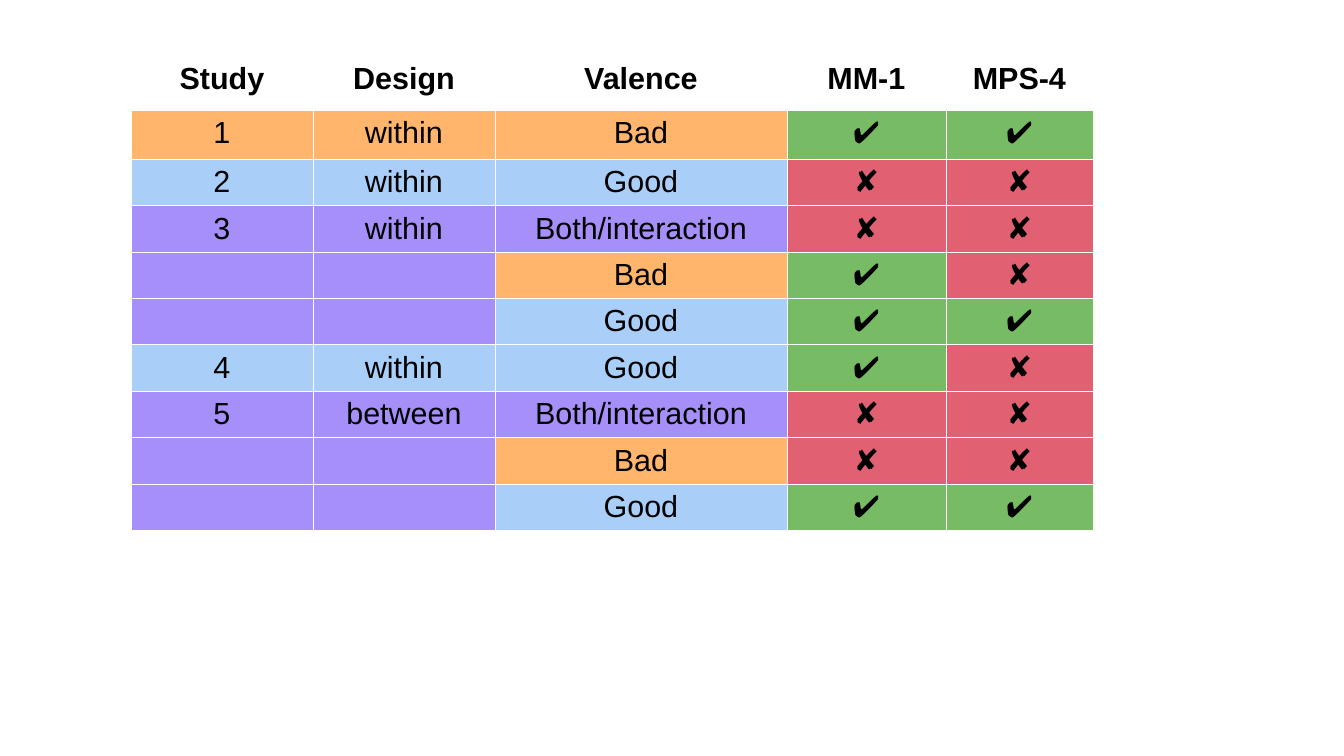
import lxml.etree
import pptx
import pptx.dml.color
import pptx.enum.text
import pptx.oxml.ns
import pptx.util

EMU_PER_PIXEL = 914400 / 122
BORDER_WIDTH = pptx.util.Pt(0.06)
COLOURS = {
    "header": "FFFFFF",
    "border": "FFFFFF",
    "text": "000000",
    "Bad": "FFB66C",
    "Good": "A9CFF9",
    "Both/interaction": "A68FF9",
    "✔": "77BC65",
    "✘": "E16173",
}
HEADINGS = ["Study", "Design", "Valence", "MM-1", "MPS-4"]
RESULTS = [
    ["1", "within", "Bad", "✔", "✔"],
    ["2", "within", "Good", "✘", "✘"],
    ["3", "within", "Both/interaction", "✘", "✘"],
    ["", "", "Bad", "✔", "✘"],
    ["", "", "Good", "✔", "✔"],
    ["4", "within", "Good", "✔", "✘"],
    ["5", "between", "Both/interaction", "✘", "✘"],
    ["", "", "Bad", "✘", "✘"],
    ["", "", "Good", "✔", "✔"],
]
COLUMN_WIDTHS = [182, 182, 292, 159, 147]
ROW_HEIGHTS = [54, 49] + [46] * 8


def px(pixels):
    """Turn pixels into EMU."""
    return pptx.util.Emu(round(pixels * EMU_PER_PIXEL))


def rgb(name):
    """Look up a colour by its role."""
    return pptx.dml.color.RGBColor.from_string(COLOURS[name])


def add_borders(cell):
    """Draw a thin line on each side of a cell."""
    properties = cell._tc.get_or_add_tcPr()
    qn = pptx.oxml.ns.qn
    for position, side in enumerate(["a:lnL", "a:lnR", "a:lnT", "a:lnB"]):
        line = lxml.etree.Element(qn(side), w=str(int(BORDER_WIDTH)))
        fill = lxml.etree.SubElement(line, qn("a:solidFill"))
        lxml.etree.SubElement(fill, qn("a:srgbClr"), val=COLOURS["border"])
        properties.insert(position, line)


def format_cell(cell, wording, colour, bold=False):
    """Write one centred cell on its background colour."""
    cell.text = wording
    cell.fill.solid()
    cell.fill.fore_color.rgb = rgb(colour)
    paragraph = cell.text_frame.paragraphs[0]
    paragraph.alignment = pptx.enum.text.PP_ALIGN.CENTER
    paragraph.font.name = "Arial"
    paragraph.font.size = pptx.util.Pt(18)
    paragraph.font.bold = bold
    paragraph.font.color.rgb = rgb("text")
    add_borders(cell)


def add_results_table(slide, left, top):
    """Add the table of studies, coloured by valence and outcome."""
    results = slide.shapes.add_table(
        len(ROW_HEIGHTS), len(COLUMN_WIDTHS), px(left), px(top),
        px(sum(COLUMN_WIDTHS)), px(sum(ROW_HEIGHTS)),
    ).table
    for column, width in zip(results.columns, COLUMN_WIDTHS):
        column.width = px(width)
    for row, height in zip(results.rows, ROW_HEIGHTS):
        row.height = px(height)
    for column, heading in enumerate(HEADINGS):
        format_cell(results.cell(0, column), heading, "header", bold=True)
    for row, (study, design, valence, *outcomes) in enumerate(RESULTS, 1):
        if study:
            study_colour = valence
        wordings = [study, design, valence, *outcomes]
        colours = [study_colour, study_colour, valence, *outcomes]
        for column, (wording, colour) in enumerate(zip(wordings, colours)):
            format_cell(results.cell(row, column), wording, colour)


def main():
    """Build the slide and save it."""
    presentation = pptx.Presentation()
    presentation.slide_width = px(1344)
    presentation.slide_height = px(756)
    slide = presentation.slides.add_slide(presentation.slide_layouts[6])
    add_results_table(slide, 131, 56)
    presentation.save("out.pptx")


main()
